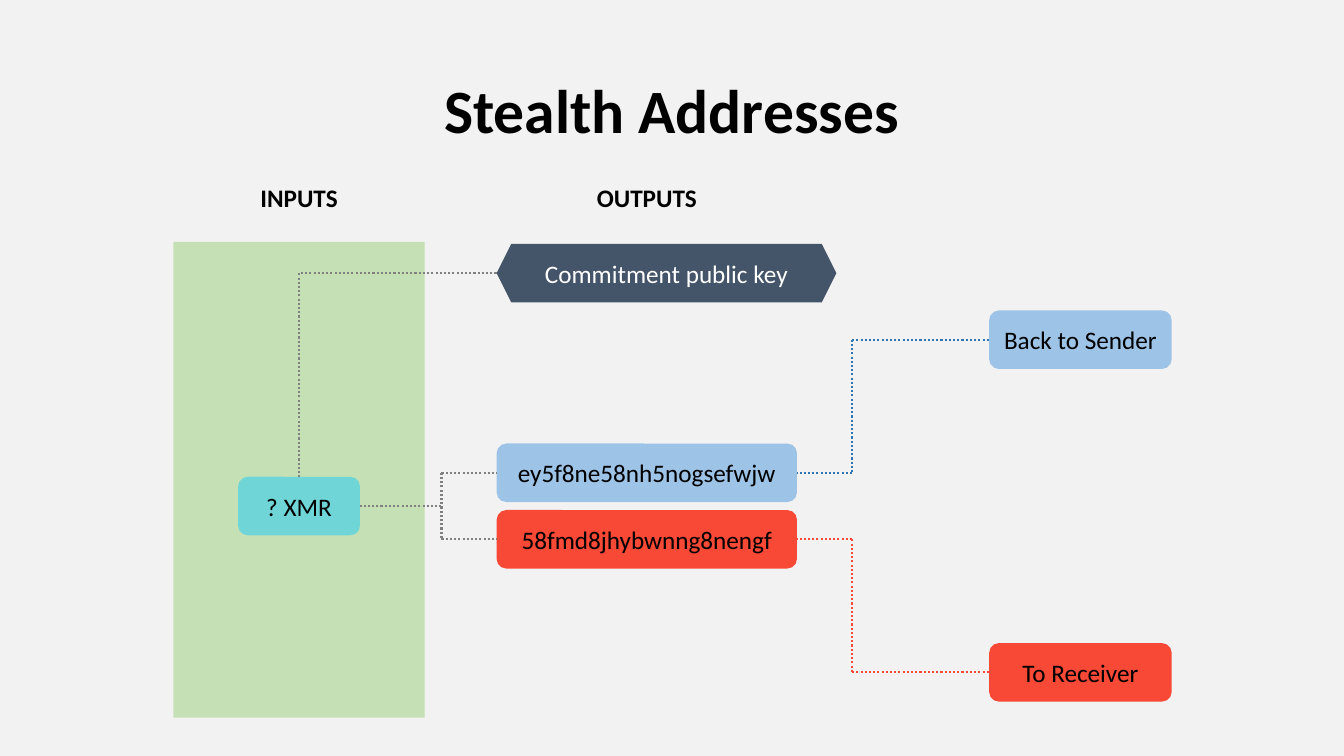
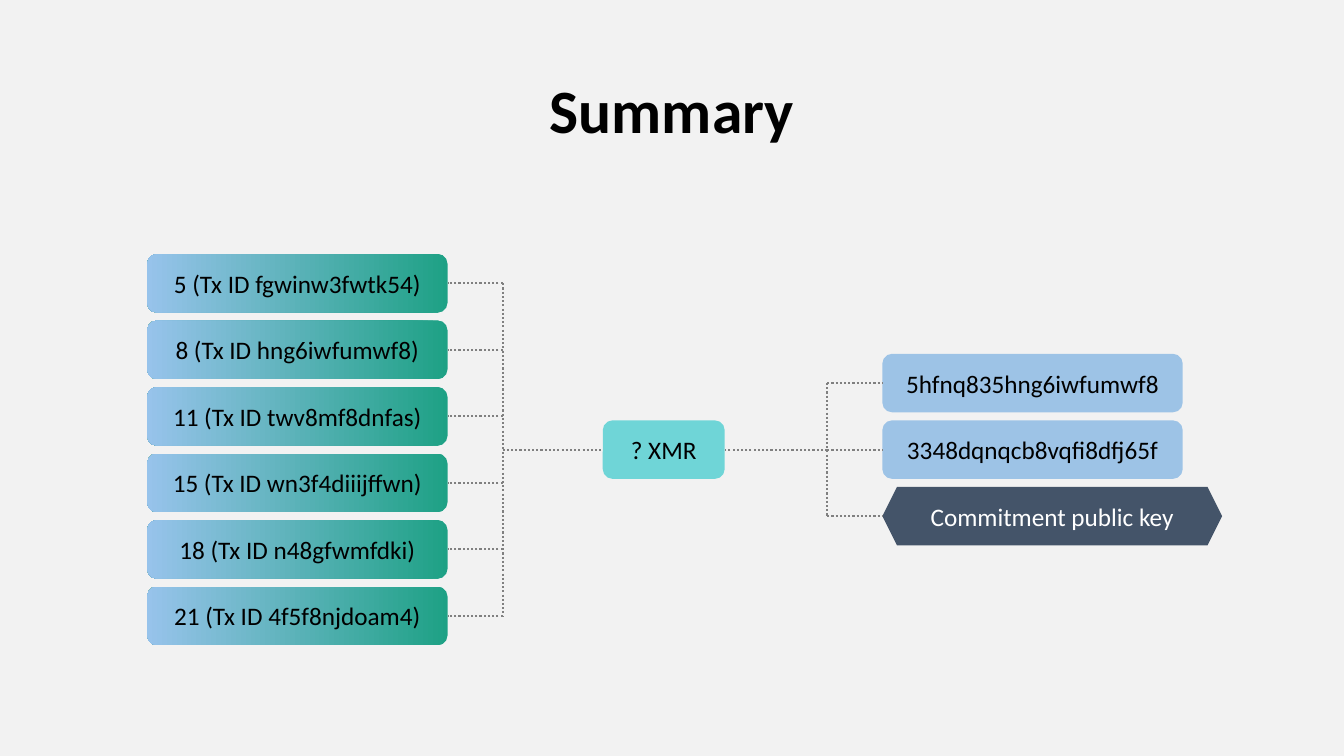
from pptx import Presentation
from pptx.dml.color import RGBColor as RGB
from pptx.enum.dml import MSO_LINE as Dash
from pptx.enum.shapes import MSO_CONNECTOR as Wire, MSO_SHAPE as Form
from pptx.enum.text import MSO_ANCHOR as Anchor, PP_ALIGN as Align
from pptx.oxml.ns import qn
from pptx.oxml.xmlchemy import OxmlElement as Element
from pptx.util import Inches, Pt

PAPER = RGB(0xF2, 0xF2, 0xF2)
BLACK = RGB(0, 0, 0)
WHITE = RGB(0xFF, 0xFF, 0xFF)
GREEN = RGB(0xC5, 0xE0, 0xB4)
TEAL = RGB(0x6F, 0xD5, 0xD7)
SKY = RGB(0x9D, 0xC3, 0xE6)
JADE = RGB(0x1E, 0xA1, 0x85)
PALE = RGB(0x97, 0xC3, 0xEB)
RED = RGB(0xF8, 0x48, 0x36)
BLUE = RGB(0x2E, 0x75, 0xB6)
SLATE = RGB(0x44, 0x54, 0x69)
GRAY = RGB(0x80, 0x80, 0x80)

WIDTH, HEIGHT = Inches(13.33), Inches(7.5)
COL, ROW = WIDTH / 100, Inches(0.66)
TALL = 0.88
GAP = 4.1
KEY, COIN, END, HEX = 22.35, 9.07, 13.58, 25.28
TOP, LEFT, RIGHT = 0, 1, 3

BODY = {"name": "Calibri", "size": Pt(18), "bold": False}
HEAD = BODY | {"bold": True}
TITLE = HEAD | {"size": Pt(44)}
DOTS = {"width": Pt(1.5), "dash_style": Dash.ROUND_DOT}


def apply(item, look):
    for name, value in look.items():
        setattr(item, name, value)


class Deck:
    def __init__(self):
        self.prs = Presentation()
        apply(self.prs, {"slide_width": WIDTH, "slide_height": HEIGHT})

    def page(self, title, top):
        self.slide = self.prs.slides.add_slide(self.prs.slide_layouts[6])
        self.shapes = self.slide.shapes
        self.top = Inches(top)
        fill = self.slide.background.fill
        fill.solid()
        fill.fore_color.rgb = PAPER
        box = self.shapes.add_textbox(
            int(0.07 * WIDTH), int(0.05 * HEIGHT), int(0.86 * WIDTH), int(0.2 * HEIGHT))
        self.label(box, title, TITLE)
        box.text_frame.paragraphs[0].line_spacing = 0.9

    def place(self, col, row, wide, tall):
        return (int(col * COL), int(self.top + row * ROW),
                int(wide * COL), int(tall * ROW))

    def label(self, shape, text, look=BODY, color=BLACK, wrap=True):
        frame = shape.text_frame
        apply(frame, {"word_wrap": wrap, "vertical_anchor": Anchor.MIDDLE})
        para = frame.paragraphs[0]
        para.text = text
        para.alignment = Align.CENTER
        apply(para.font, look)
        para.font.color.rgb = color

    def head(self, text, mid, row):
        box = self.shapes.add_textbox(*self.place(mid - 4.5, row, 9, 0.6))
        self.label(box, text, HEAD, wrap=False)

    def box(self, col, row, wide, text="", fill=SKY, form=Form.ROUNDED_RECTANGLE,
            tall=TALL, color=BLACK):
        shape = self.shapes.add_shape(form, *self.place(col, row, wide, tall))
        shape.shadow.inherit = False
        shape.line.fill.background()
        if isinstance(fill, list):
            shape.fill.gradient()
            shape.fill.gradient_angle = 180
            for stop, tone in zip(shape.fill.gradient_stops, fill):
                stop.color.rgb = tone
        else:
            shape.fill.solid()
            shape.fill.fore_color.rgb = fill
        if text:
            self.label(shape, text, color=color)
        return shape

    def badge(self, col, row):
        return self.box(col, row, HEX, "Commitment public key", SLATE,
                        Form.HEXAGON, color=WHITE)

    def coin(self, col, row):
        return self.box(col, row, COIN, "? XMR", TEAL)

    def spot(self, box, side):
        x = {TOP: box.width // 2, LEFT: 0, RIGHT: box.width}[side]
        y = 0 if side == TOP else box.height // 2
        return box.left + x, box.top + y

    def wire(self, start, stop, color, box=None, side=None, kind=Wire.STRAIGHT):
        line = self.shapes.add_connector(kind, *start, *stop)
        if box is not None and box.auto_shape_type != Form.HEXAGON:
            line.end_connect(box, side)
        line.line.color.rgb = color
        apply(line.line, DOTS)
        line._element.spPr.append(Element("a:effectLst"))
        return line

    def bus(self, col, ends, color=GRAY):
        x = int(col * COL)
        spots = [self.spot(*end) for end in ends]
        ys = [y for _, y in spots]
        self.wire((x, min(ys)), (x, max(ys)), color)
        for (box, side), spot in zip(ends, spots):
            self.wire((x, spot[1]), spot, color, box, side)

    def bend(self, start, stop):
        line = self.wire(self.spot(*start), self.spot(*stop), GRAY, *stop, Wire.ELBOW)
        line._element.spPr.find(qn("a:prstGeom")).set("prst", "bentConnector2")


def stealth(deck):
    deck.page("Stealth Addresses", 2.42)
    mid, key, end = 22.25, 36.95, 73.6
    deck.box(mid - 9.35, -0.03, 18.7, fill=GREEN, form=Form.RECTANGLE, tall=7.15)
    deck.head("INPUTS", mid, -1)
    deck.head("OUTPUTS", key + KEY / 2, -1)
    coin = deck.coin(mid - COIN / 2, 3.5)
    keys = []
    for row, code, goal, spot, fill, color in (
            (3, "ey5f8ne58nh5nogsefwjw", "Back to Sender", 1, SKY, BLUE),
            (4, "58fmd8jhybwnng8nengf", "To Receiver", 6, RED, RED)):
        out = deck.box(key, row, KEY, code, fill)
        last = deck.box(end, spot, END, goal, fill)
        deck.bus(key + KEY + GAP, [(out, RIGHT), (last, LEFT)], color)
        keys.append((out, LEFT))
    deck.bus(key - GAP, keys + [(coin, RIGHT)])
    deck.bend((deck.badge(key, 0), LEFT), (coin, TOP))


def summary(deck):
    deck.page("Summary", 2.52)
    first, last = 10.95, 65.65
    names = ("5 (Tx ID fgwinw3fwtk54)", "8 (Tx ID hng6iwfumwf8)",
             "11 (Tx ID twv8mf8dnfas)", "15 (Tx ID wn3f4diiijffwn)",
             "18 (Tx ID n48gfwmfdki)", "21 (Tx ID 4f5f8njdoam4)")
    ins = [(deck.box(first, row, KEY, name, [JADE, PALE]), RIGHT)
           for row, name in enumerate(names)]
    coin = deck.coin(44.85, 2.5)
    codes = ("5hfnq835hng6iwfumwf8", "3348dqnqcb8vqfi8dfj65f")
    outs = [deck.box(last, 1.5 + row, KEY, code) for row, code in enumerate(codes)]
    outs.append(deck.badge(last, 3.5))
    deck.bus(first + KEY + GAP, ins + [(coin, LEFT)])
    deck.bus(last - GAP, [(out, LEFT) for out in outs] + [(coin, RIGHT)])


def main():
    deck = Deck()
    stealth(deck)
    summary(deck)
    deck.prs.save("out.pptx")


if __name__ == "__main__":
    main()
